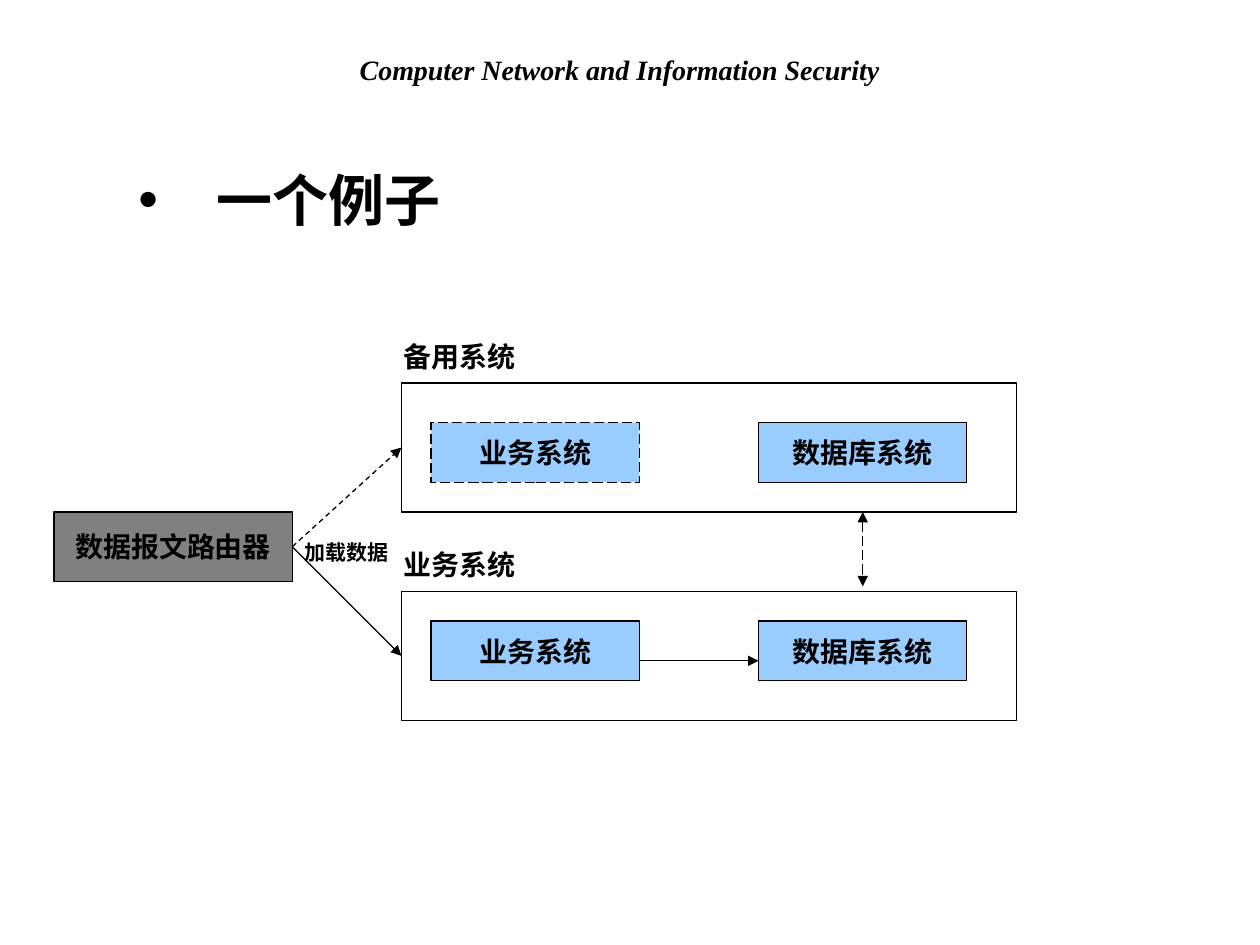
from dataclasses import dataclass
from typing import Optional

from lxml.etree import SubElement
from pptx import Presentation
from pptx.dml.color import RGBColor
from pptx.enum.dml import MSO_LINE
from pptx.enum.shapes import MSO_CONNECTOR, MSO_SHAPE
from pptx.enum.text import MSO_ANCHOR, PP_ALIGN
from pptx.oxml.ns import qn
from pptx.util import Inches, Pt


@dataclass(frozen=True)
class Theme:
    ink: RGBColor = RGBColor(0x00, 0x00, 0x00)
    paper: RGBColor = RGBColor(0xFF, 0xFF, 0xFF)
    router: RGBColor = RGBColor(0x80, 0x80, 0x80)
    system: RGBColor = RGBColor(0x99, 0xCC, 0xFF)
    body_font: str = "Arial"
    header_font: str = "Times New Roman"
    heading_size: int = 32
    body_size: int = 16
    small_size: int = 12
    line_width: float = 0.75


@dataclass(frozen=True)
class Grid:
    left: float = 0.43
    top: float = 3.04
    cell: float = 2 / 25.4

    def x(self, column: float) -> int:
        return Inches(self.left + column * self.cell)

    def y(self, row: float) -> int:
        return Inches(self.top + row * self.cell)

    def span(self, cells: float) -> int:
        return Inches(cells * self.cell)


@dataclass(frozen=True)
class Area:
    column: float
    row: float
    columns: float
    rows: float


@dataclass(frozen=True)
class Box:
    area: Area
    fill: RGBColor
    text: str = ""
    dash: Optional[MSO_LINE] = None


@dataclass(frozen=True)
class Label:
    area: Area
    text: str
    size: int


@dataclass(frozen=True)
class Arrow:
    start: tuple[float, float]
    end: tuple[float, float]
    dash: Optional[MSO_LINE] = None
    two_way: bool = False


THEME = Theme()
GRID = Grid()
STANDBY_ROW, ACTIVE_ROW = 0, 21
SERVICE_COLUMN, DATABASE_COLUMN = 38, 71
ROUTER_EXIT = (24, 16.5)

HEADER = Area(15, -34, 84, 4.7)
HEADING = Area(0.9, -28, 114.3, 19)


def system_area(column: float, row: float) -> Area:
    return Area(column, row, 21, 6)


BOXES = [
    Box(Area(35, STANDBY_ROW, 62, 13), THEME.paper),
    Box(Area(35, ACTIVE_ROW, 62, 13), THEME.paper),
    Box(Area(0, 13, 24, 7), THEME.router, "数据报文路由器"),
    Box(system_area(SERVICE_COLUMN, STANDBY_ROW + 4), THEME.system, "业务系统", MSO_LINE.LONG_DASH),
    Box(system_area(SERVICE_COLUMN, ACTIVE_ROW + 3), THEME.system, "业务系统"),
    Box(system_area(DATABASE_COLUMN, STANDBY_ROW + 4), THEME.system, "数据库系统"),
    Box(system_area(DATABASE_COLUMN, ACTIVE_ROW + 3), THEME.system, "数据库系统"),
]
LABELS = [
    Label(Area(24, 15.1, 11, 3.8), "加载数据", THEME.small_size),
    Label(Area(34, STANDBY_ROW - 5, 15.2, 5), "备用系统", THEME.body_size),
    Label(Area(34, ACTIVE_ROW - 5, 15.2, 5), "业务系统", THEME.body_size),
]
ARROWS = [
    Arrow(ROUTER_EXIT, (35, ACTIVE_ROW + 6.5)),
    Arrow((59, 28), (71, 28)),
    Arrow((81.5, 13), (81.5, 20.5), MSO_LINE.LONG_DASH, two_way=True),
    Arrow(ROUTER_EXIT, (35, STANDBY_ROW + 6.5), MSO_LINE.DASH),
]


def place(area: Area) -> tuple[int, int, int, int]:
    return GRID.x(area.column), GRID.y(area.row), GRID.span(area.columns), GRID.span(area.rows)


def add_run(paragraph, text: str, size: int, font: str = THEME.body_font, italic: bool = False) -> None:
    run = paragraph.add_run()
    run.text = text
    run.font.name = font
    run.font.size = Pt(size)
    run.font.bold = True
    run.font.italic = italic
    run.font.color.rgb = THEME.ink


def style_line(line, dash: Optional[MSO_LINE]) -> None:
    line.color.rgb = THEME.ink
    line.width = Pt(THEME.line_width)
    if dash is not None:
        line.dash_style = dash


def add_box(slide, box: Box) -> None:
    shape = slide.shapes.add_shape(MSO_SHAPE.RECTANGLE, *place(box.area))
    shape.shadow.inherit = False
    shape.fill.solid()
    shape.fill.fore_color.rgb = box.fill
    style_line(shape.line, box.dash)
    if box.text:
        frame = shape.text_frame
        frame.word_wrap = False
        frame.vertical_anchor = MSO_ANCHOR.MIDDLE
        paragraph = frame.paragraphs[0]
        paragraph.alignment = PP_ALIGN.CENTER
        add_run(paragraph, box.text, THEME.body_size)


def add_label(slide, label: Label) -> None:
    frame = slide.shapes.add_textbox(*place(label.area)).text_frame
    frame.word_wrap = False
    add_run(frame.paragraphs[0], label.text, label.size)


def add_arrow(slide, arrow: Arrow) -> None:
    (start_column, start_row), (end_column, end_row) = arrow.start, arrow.end
    connector = slide.shapes.add_connector(
        MSO_CONNECTOR.STRAIGHT,
        GRID.x(start_column), GRID.y(start_row), GRID.x(end_column), GRID.y(end_row),
    )
    style_line(connector.line, arrow.dash)
    line = connector.line._get_or_add_ln()
    if arrow.two_way:
        SubElement(line, qn("a:headEnd"), type="triangle")
    SubElement(line, qn("a:tailEnd"), type="triangle")
    SubElement(connector._element.spPr, qn("a:effectLst"))


def add_header(slide, text: str) -> None:
    shape = slide.shapes.add_textbox(*place(HEADER))
    shape.fill.solid()
    shape.fill.fore_color.rgb = THEME.paper
    frame = shape.text_frame
    frame.word_wrap = True
    frame.vertical_anchor = MSO_ANCHOR.MIDDLE
    paragraph = frame.paragraphs[0]
    paragraph.alignment = PP_ALIGN.CENTER
    add_run(paragraph, text, THEME.body_size, THEME.header_font, italic=True)


def add_heading(slide, text: str) -> None:
    frame = slide.shapes.add_textbox(*place(HEADING)).text_frame
    frame.word_wrap = True
    frame.vertical_anchor = MSO_ANCHOR.MIDDLE
    paragraph = frame.paragraphs[0]
    properties = paragraph._p.get_or_add_pPr()
    properties.set("marL", str(Inches(1.12)))
    properties.set("indent", str(Inches(-0.62)))
    SubElement(properties, qn("a:buFont"), typeface=THEME.body_font)
    SubElement(properties, qn("a:buChar"), char="•")
    add_run(paragraph, text, THEME.heading_size)


def main() -> None:
    presentation = Presentation()
    presentation.slide_width = Inches(10)
    presentation.slide_height = Inches(7.5)
    slide = presentation.slides.add_slide(presentation.slide_layouts[6])
    add_header(slide, "Computer Network and Information Security")
    for box in BOXES:
        add_box(slide, box)
    for arrow in ARROWS:
        add_arrow(slide, arrow)
    for label in LABELS:
        add_label(slide, label)
    add_heading(slide, "一个例子")
    presentation.save("out.pptx")


if __name__ == "__main__":
    main()
